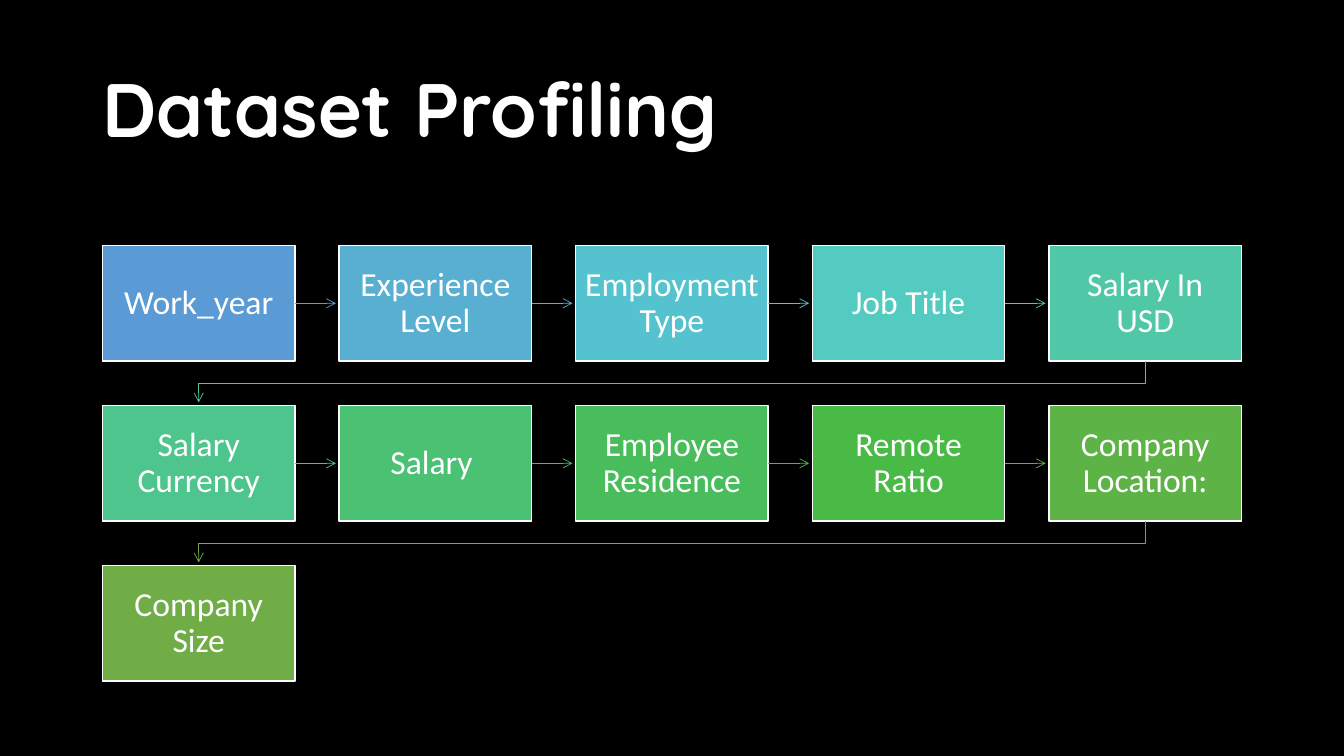
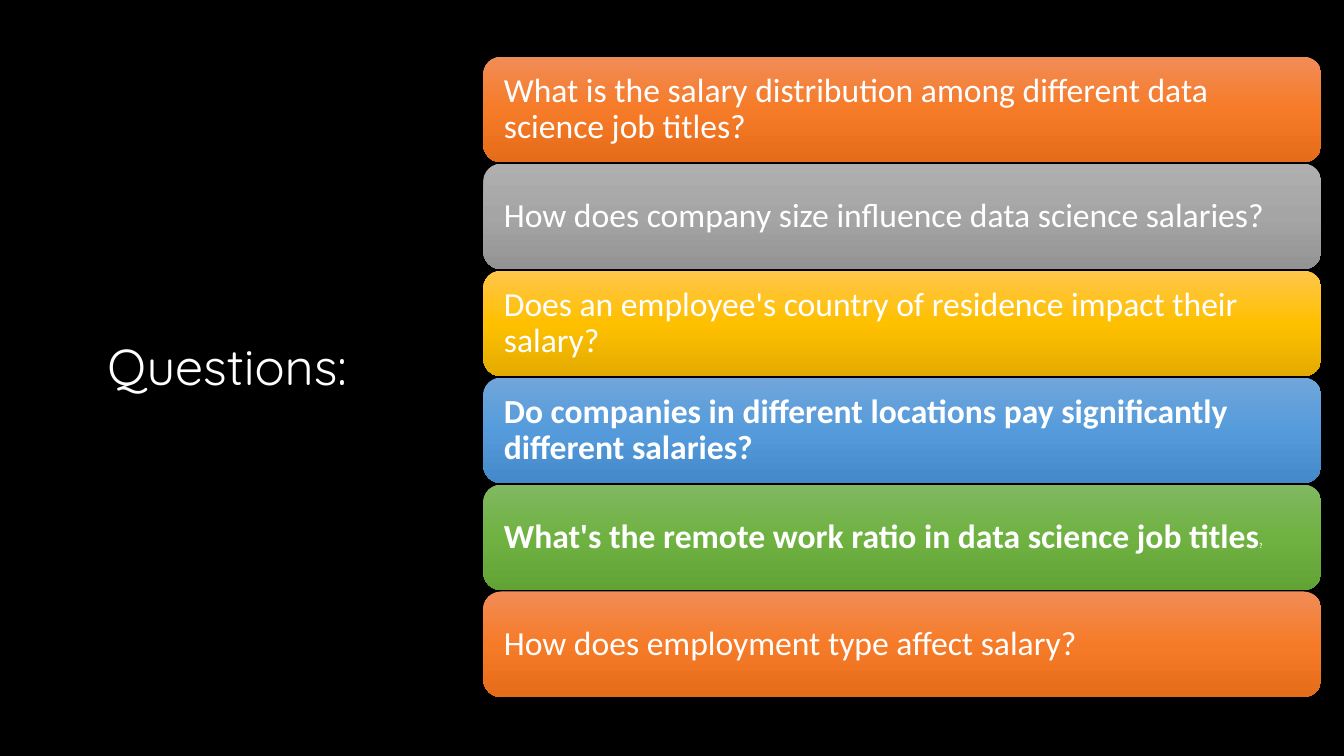
from copy import deepcopy
from itertools import pairwise

from lxml import etree
from pptx import Presentation
from pptx.dml.color import RGBColor
from pptx.enum.shapes import MSO_CONNECTOR, MSO_SHAPE
from pptx.enum.text import MSO_ANCHOR, MSO_AUTO_SIZE, PP_ALIGN
from pptx.oxml.ns import qn
from pptx.util import Pt

COLORS = {
    "background": "000000",
    "text": "FFFFFF",
    "outline": "FFFFFF",
    "steps": ["5B9BD5", "58AFD2", "55C3CF", "53CBC1", "50C8A7", "4DC58D",
              "4BC174", "49BD5B", "4ABA46", "5EB347", "70AD47"],
    "arrows": ["5B9BD5", "58B1D2", "55C7CE", "52CAB8", "4FC79C",
               "4CC37F", "49BF64", "47BA49", "5CB447", "70AD47"],
    "orange": ["F18C57", "F67B28", "E56C19"],
    "gray": ["AFAFAF", "A5A5A5", "939393"],
    "gold": ["FFC64B", "FFC000", "E3AB00"],
    "blue": ["71A6DB", "559BDB", "448ACA"],
    "green": ["81B861", "6FB242", "62A336"],
}
STEPS = ["Work_year", "Experience Level", "Employment Type", "Job Title",
         "Salary In USD", "Salary Currency", "Salary ", "Employee Residence",
         "Remote Ratio", "Company Location:", "Company Size"]
# Each question: gradient name, then runs of (text, format)
QUESTIONS = [
    ("orange", [("What is the salary distribution among different data "
                 "science job titles?", {})]),
    ("gray", [("How does company size influence data science salaries?", {})]),
    ("gold", [("Does an employee's country of residence impact their "
               "salary?", {})]),
    ("blue", [("Do companies in different locations pay significantly "
               "different salaries?", {"bold": True})]),
    ("green", [("What's the remote work ratio in data science job titles",
                {"bold": True}), ("?", {"bold": True, "size": Pt(5)})]),
    ("orange", [("How does employment type affect salary?", {})]),
]


def rgb(color):
    return RGBColor.from_string(color)


class Deck:
    title_font = "Quicksand"
    body_font = "Calibri"
    body_size = 24

    def __init__(self):
        self.prs = Presentation()
        self.prs.slide_width, self.prs.slide_height = Pt(960), Pt(540)
        fill = self.prs.slide_master.background.fill
        fill.solid()
        fill.fore_color.rgb = rgb(COLORS["background"])
        self.slide = None

    def add_slide(self):
        self.slide = self.prs.slides.add_slide(self.prs.slide_layouts[5])

    def set_text(self, s, runs, align, anchor, font, size):
        tf = s.text_frame
        tf.word_wrap = True
        tf.auto_size = MSO_AUTO_SIZE.NONE
        tf.vertical_anchor = anchor
        p = tf.paragraphs[0]
        p.alignment = align
        p.line_spacing = 0.9
        for text, extra in runs:
            r = p.add_run()
            r.text = text
            r.font.color.rgb = rgb(COLORS["text"])
            for name, value in {"name": font, "size": Pt(size), **extra}.items():
                setattr(r.font, name, value)

    def title(self, text, x, y, w, h, size, align=PP_ALIGN.LEFT,
              anchor=MSO_ANCHOR.MIDDLE, bold=False):
        s = self.slide.shapes.title
        s.left, s.top, s.width, s.height = Pt(x), Pt(y), Pt(w), Pt(h)
        self.set_text(s, [(text, {"bold": bold})], align, anchor,
                      self.title_font, size)

    def box(self, kind, runs, x, y, w, h, align, margin):
        s = self.slide.shapes.add_shape(kind, Pt(x), Pt(y), Pt(w), Pt(h))
        s.shadow.inherit = False
        tf = s.text_frame
        tf.margin_left = tf.margin_right = Pt(margin)
        self.set_text(s, runs, align, MSO_ANCHOR.MIDDLE,
                      self.body_font, self.body_size)
        return s

    def step(self, text, color, x, y, w, h):
        s = self.box(MSO_SHAPE.RECTANGLE, [(text, {})], x, y, w, h,
                     PP_ALIGN.CENTER, 6)
        s.fill.solid()
        s.fill.fore_color.rgb = rgb(color)
        s.line.color.rgb = rgb(COLORS["outline"])
        s.line.width = Pt(1)
        return s

    def bar(self, runs, gradient, x, y, w, h):
        s = self.box(MSO_SHAPE.ROUNDED_RECTANGLE, runs, x, y, w, h,
                     PP_ALIGN.LEFT, 11)
        s.line.fill.background()
        s.fill.gradient()
        s.fill.gradient_angle = 270
        stops = s.element.spPr.find(".//" + qn("a:gsLst"))
        stops.append(deepcopy(stops[-1]))
        for i, (stop, color) in enumerate(zip(s.fill.gradient_stops, gradient)):
            stop.position = i / 2
            stop.color.rgb = rgb(color)

    def arrow_line(self, s, color):
        s.line.color.rgb = rgb(color)
        s.line.width = Pt(0.5)
        ln = s.element.spPr.find(qn("a:ln"))
        etree.SubElement(ln, qn("a:tailEnd"), type="arrow")

    def arrow_right(self, start, end, color, gap):
        y = start.top + start.height // 2
        s = self.slide.shapes.add_connector(
            MSO_CONNECTOR.STRAIGHT, start.left + start.width, y,
            end.left - Pt(gap), y)
        s.begin_connect(start, 3)
        self.arrow_line(s, color)
        etree.SubElement(s.element.spPr, qn("a:effectLst"))

    def arrow_next_row(self, start, end, color, gap):
        """Run from the bottom of start, between the rows, to the top of end."""
        x1, x2 = (s.left + s.width // 2 for s in (start, end))
        top = start.top + start.height
        middle = (top + end.top) // 2
        builder = self.slide.shapes.build_freeform(x1, top)
        builder.add_line_segments(
            [(x1, middle), (x2, middle), (x2, end.top - Pt(gap))], close=False)
        s = builder.convert_to_shape()
        s.shadow.inherit = False
        s.fill.background()
        self.arrow_line(s, color)


def profiling_slide(deck):
    deck.add_slide()
    deck.title("Dataset Profiling", 66, 28.8, 828, 104.4, 54, bold=True)
    columns, gap = 5, 2.3
    boxes = []
    for i, (text, color) in enumerate(zip(STEPS, COLORS["steps"])):
        row, col = divmod(i, columns)
        boxes.append(deck.step(text, color, 73.2 + 169 * col,
                               175.4 + 114.3 * row, 137.5, 82.5))
    for (start, end), color in zip(pairwise(boxes), COLORS["arrows"]):
        same_row = start.top == end.top
        draw = deck.arrow_right if same_row else deck.arrow_next_row
        draw(start, end, color, gap)


def questions_slide(deck):
    deck.add_slide()
    deck.title("Questions:", 0, 177.8, 255, 108.7, 36,
               PP_ALIGN.RIGHT, MSO_ANCHOR.BOTTOM)
    for i, (gradient, runs) in enumerate(QUESTIONS):
        deck.bar(runs, COLORS[gradient], 345.3, 40.5 + 76.4 * i, 598.5, 75.4)


def main():
    deck = Deck()
    profiling_slide(deck)
    questions_slide(deck)
    deck.prs.save("out.pptx")


if __name__ == "__main__":
    main()
